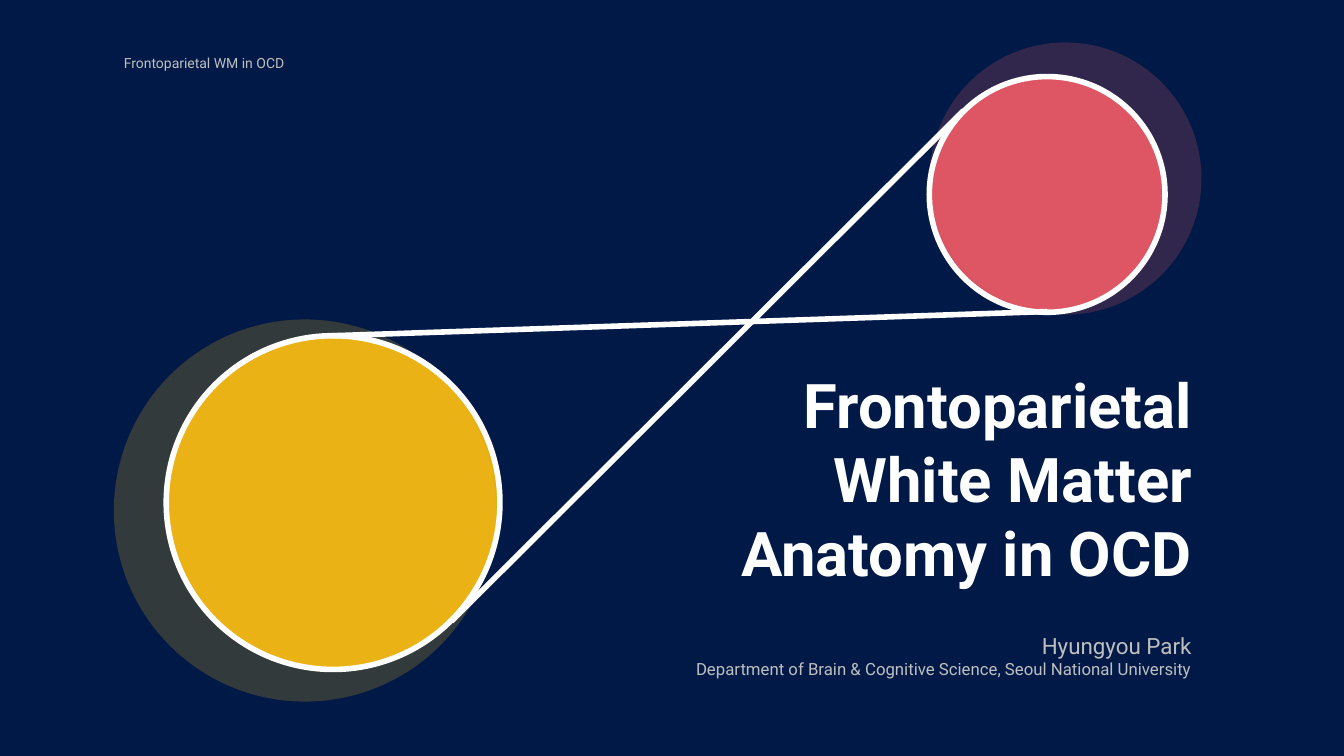
import pptx
import pptx.dml.color
import pptx.enum.shapes
import pptx.enum.text
import pptx.oxml.ns
import pptx.util
from lxml import etree

Cm = pptx.util.Cm
Pt = pptx.util.Pt
RGBColor = pptx.dml.color.RGBColor
Align = pptx.enum.text.PP_ALIGN

NAVY = RGBColor(0x01, 0x19, 0x46)
RED = RGBColor(0xF1, 0x5B, 0x66)
GOLD = RGBColor(0xFE, 0xC0, 0x10)
WHITE = RGBColor(0xFF, 0xFF, 0xFF)
GREY = RGBColor(0xBF, 0xBF, 0xBF)


class Cover:
    font = "Roboto"
    stroke = Pt(4)

    def __init__(self, deck):
        self.slide = deck.slides.add_slide(deck.slide_layouts[6])
        self.shapes = self.slide.shapes
        fill = self.slide.background.fill
        fill.solid()
        fill.fore_color.rgb = NAVY

    def outline(self, item):
        item.line.color.rgb = WHITE
        item.line.width = self.stroke

    def disc(self, left, top, size, color, alpha, ring=False):
        """Draw a circle; alpha is its opacity in percent."""
        disc = self.shapes.add_shape(
            pptx.enum.shapes.MSO_SHAPE.OVAL,
            Cm(left), Cm(top), Cm(size), Cm(size))
        disc.shadow.inherit = False
        disc.fill.solid()
        disc.fill.fore_color.rgb = color
        tint = disc.fill._xPr.find(".//" + pptx.oxml.ns.qn("a:srgbClr"))
        etree.SubElement(tint, pptx.oxml.ns.qn("a:alpha"),
                         val=str(alpha * 1000))
        if ring:
            self.outline(disc)
        else:
            disc.line.fill.background()

    def link(self, *ends):
        line = self.shapes.add_connector(
            pptx.enum.shapes.MSO_CONNECTOR.STRAIGHT, *map(Cm, ends))
        self.outline(line)
        etree.SubElement(line._element.spPr, pptx.oxml.ns.qn("a:effectLst"))

    def text(self, box, lines, color, align=Align.LEFT, bold=False, wrap=False):
        """Write lines, given as pairs of words and point size."""
        frame = self.shapes.add_textbox(*map(Cm, box)).text_frame
        frame.word_wrap = wrap
        frame.auto_size = pptx.enum.text.MSO_AUTO_SIZE.SHAPE_TO_FIT_TEXT
        for i, (words, size) in enumerate(lines):
            para = frame.add_paragraph() if i else frame.paragraphs[0]
            para.alignment = align
            run = para.add_run()
            run.text = words
            run.font.name = self.font
            run.font.size = Pt(size)
            run.font.bold = bold
            run.font.color.rgb = color


def main():
    deck = pptx.Presentation()
    deck.slide_width, deck.slide_height = Cm(33.87), Cm(19.05)
    cover = Cover(deck)

    cover.disc(23.42, 1.07, 6.86, RED, 20)
    cover.disc(2.87, 8.05, 9.63, GOLD, 20)
    cover.disc(4.19, 8.46, 8.41, GOLD, 90, ring=True)
    cover.disc(23.42, 1.93, 5.94, RED, 90, ring=True)
    cover.link(8.38, 8.46, 26.39, 7.85)
    cover.link(11.38, 15.65, 24.28, 2.79)

    title = ["Frontoparietal", "White Matter", "Anatomy in OCD"]
    cover.text((14.45, 9.12, 15.85, 5.89), [(words, 44) for words in title],
               WHITE, Align.RIGHT, bold=True, wrap=True)
    cover.text((2.87, 1.24, 4.75, 0.69),
               [("Frontoparietal WM in OCD", 10)], GREY)
    cover.text((16.97, 15.8, 13.31, 1.45), [
        ("Hyungyou Park", 16),
        ("Department of Brain & Cognitive Science, "
         "Seoul National University", 12),
    ], GREY, Align.RIGHT)
    deck.save("out.pptx")


if __name__ == "__main__":
    main()
